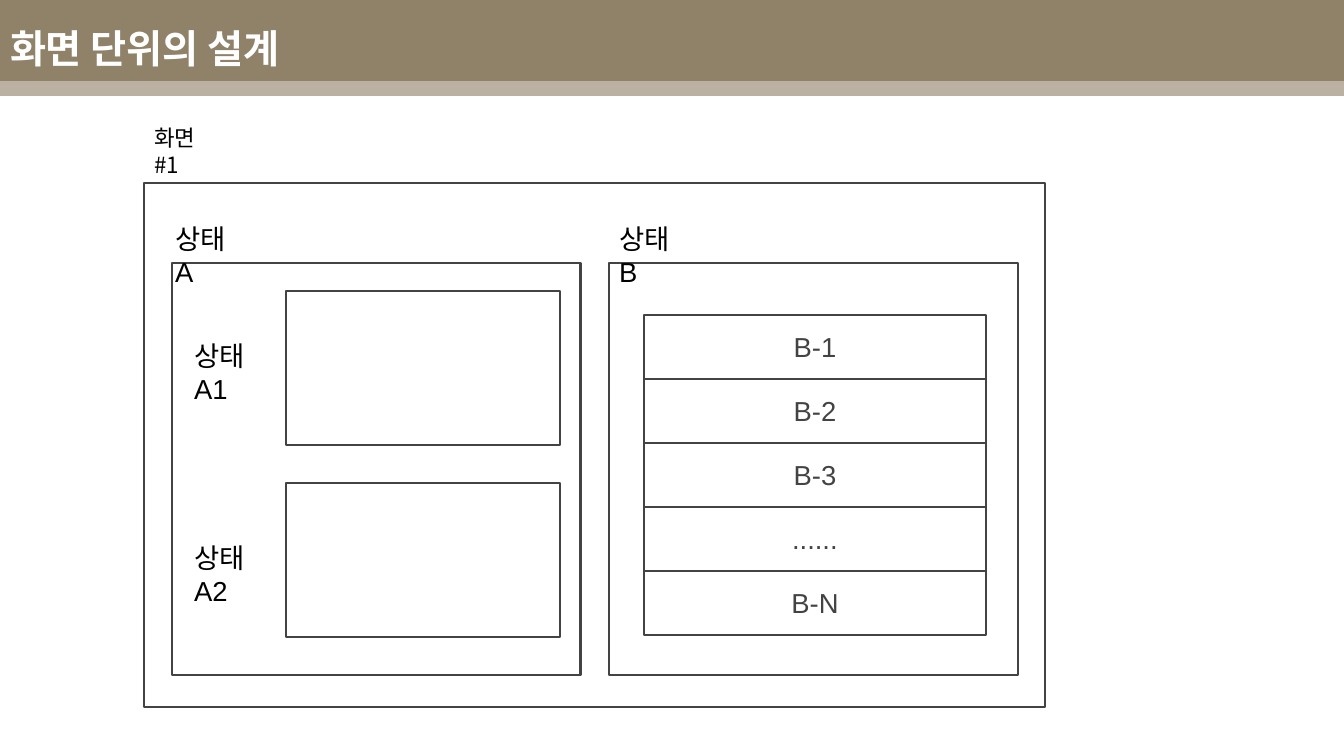
import pptx
import pptx.util
import pptx.dml.color
import pptx.enum.shapes
import pptx.enum.text
import pptx.oxml
import pptx.oxml.ns
from dataclasses import dataclass

PX = 914400 / 100.8


@dataclass(frozen=True)
class Theme:
    """Colours, fonts and type sizes of the slide."""
    band: str = "908269"
    paper: str = "FFFFFF"
    ink: str = "000000"
    edge: str = "434343"
    latin: str = "Arial"
    hangul: str = "Noto Sans CJK KR"
    head: float = 28
    body: float = 19.6
    note: float = 16
    rule: float = 2


THEME = Theme()


def emu(num):
    """Turn px into EMU."""
    return pptx.util.Emu(round(num * PX))


def color(code):
    """Make a colour from its hex code."""
    return pptx.dml.color.RGBColor.from_string(code)


def write(frame, text, size, tint, font, bold=False):
    """Add one run of styled text to the first paragraph."""
    run = frame.paragraphs[0].add_run()
    run.text = text
    run.font.size = pptx.util.Pt(size)
    run.font.bold = bold
    run.font.name = font
    run.font.color.rgb = color(tint)
    east = pptx.oxml.ns.qn("a:ea")
    run.font._element.find(pptx.oxml.ns.qn("a:latin")).addnext(
        run.font._element.makeelement(east, {"typeface": THEME.hangul}))


def panel(slide, left, top, width, height, fill=THEME.paper, edge=THEME.edge):
    """Draw a plain rectangle, outlined if an edge colour is given."""
    box = slide.shapes.add_shape(
        pptx.enum.shapes.MSO_SHAPE.RECTANGLE,
        emu(left), emu(top), emu(width), emu(height))
    box.shadow.inherit = False
    box.fill.solid()
    box.fill.fore_color.rgb = color(fill)
    if edge:
        box.line.color.rgb = color(edge)
        box.line.width = pptx.util.Pt(THEME.rule)
    else:
        box.line.fill.background()
    return box


def label(slide, left, top, width, text, size=THEME.body, font=THEME.latin):
    """Place a narrow label that wraps after its first word."""
    box = slide.shapes.add_textbox(emu(left), emu(top), emu(width), emu(40))
    frame = box.text_frame
    frame.word_wrap = True
    frame.margin_left = emu(10)
    frame.margin_right = emu(20)
    frame.margin_top = frame.margin_bottom = 0
    write(frame, text, size, THEME.ink, font)


def header(slide, width):
    """Draw the two bands and set the title over them."""
    panel(slide, 0, 0, width, 81, THEME.band, None)
    strip = panel(slide, 0, 66, width, 30, THEME.band, None)
    tone = strip.fill._xPr.find(".//" + pptx.oxml.ns.qn("a:srgbClr"))
    tone.append(tone.makeelement(pptx.oxml.ns.qn("a:alpha"), {"val": "62000"}))
    title = slide.shapes.title
    slide.shapes.element.append(title.element)
    title.left, title.top = emu(0), emu(15)
    title.width, title.height = emu(1210), emu(66)
    frame = title.text_frame
    frame.auto_size = pptx.enum.text.MSO_AUTO_SIZE.NONE
    frame.vertical_anchor = pptx.enum.text.MSO_ANCHOR.MIDDLE
    frame.margin_left = frame.margin_right = emu(10)
    frame.margin_top = frame.margin_bottom = emu(10)
    frame.paragraphs[0].alignment = pptx.enum.text.PP_ALIGN.LEFT
    write(frame, "화면 단위의 설계", THEME.head, THEME.paper, THEME.hangul, True)


def state_a(slide, left, top, width, height):
    """Draw state A with its two inner states."""
    panel(slide, left, top, width, height)
    label(slide, left - 7, top - 41, 88, "상태A")
    for row, name in enumerate(("상태A1", "상태A2")):
        panel(slide, left + 114, top + 28 + row * 192, 274, 154)
        label(slide, left + 12, top + 76 + row * 202, 103, name)


def state_b(slide, left, top, width, height):
    """Draw state B with its stack of rows."""
    panel(slide, left, top, width, height)
    label(slide, left, top - 41, 96, "상태 B")
    for row, name in enumerate(("B-1", "B-2", "B-3", "......", "B-N")):
        box = panel(slide, left + 35, top + 52 + row * 64, 342, 64)
        frame = box.text_frame
        frame.vertical_anchor = pptx.enum.text.MSO_ANCHOR.MIDDLE
        frame.paragraphs[0].alignment = pptx.enum.text.PP_ALIGN.CENTER
        write(frame, name, THEME.body, THEME.edge, THEME.latin)


def screen(slide, left, top, width, height):
    """Draw the screen frame and the two states in it."""
    panel(slide, left, top, width, height)
    label(slide, left, top - 59, 93, "화면 #1", THEME.note, THEME.hangul)
    state_a(slide, left + 28, top + 80, 409, 412)
    state_b(slide, left + 465, top + 80, 409, 412)


def main():
    """Build the slide and save it."""
    deck = pptx.Presentation()
    deck.slide_width, deck.slide_height = emu(1344), emu(756)
    slide = deck.slides.add_slide(deck.slide_layouts[5])
    header(slide, 1344)
    screen(slide, 144, 183, 901, 524)
    deck.save("out.pptx")


if __name__ == "__main__":
    main()
